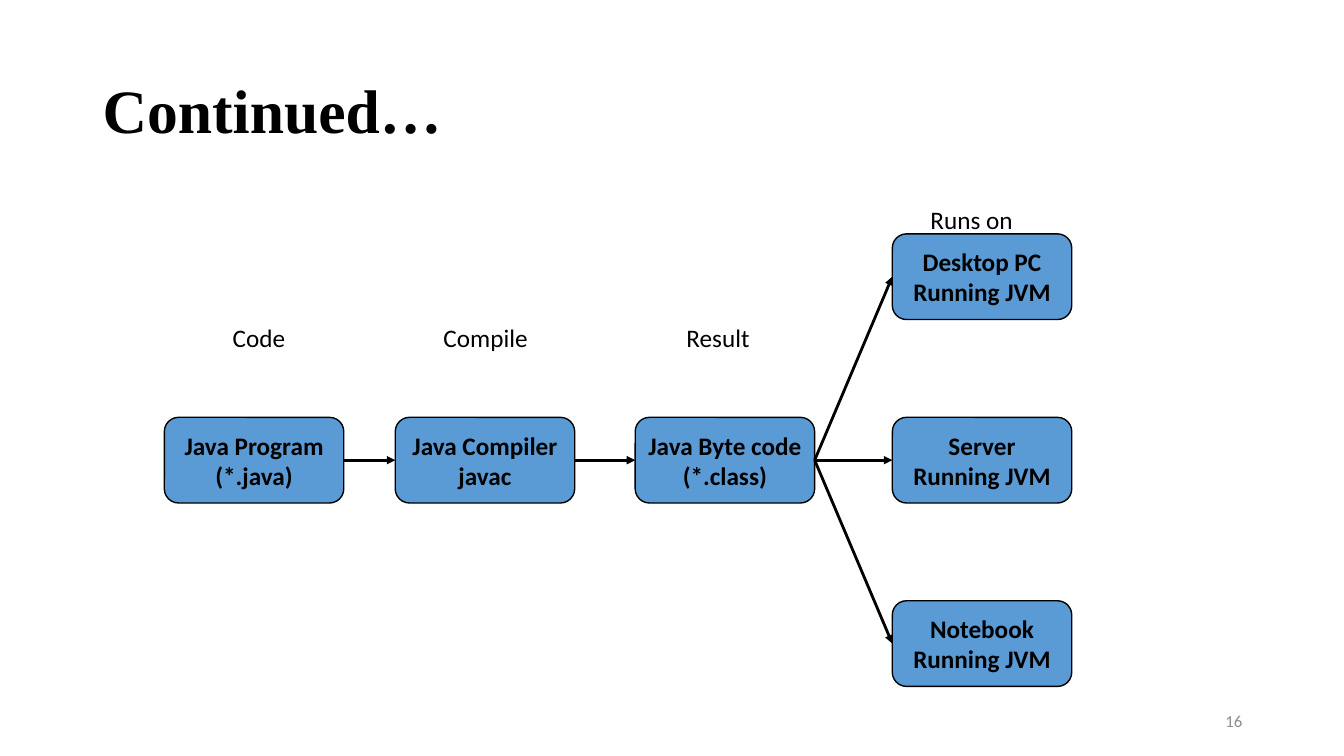
from dataclasses import dataclass

from lxml import etree
from pptx import Presentation
from pptx import util as u
from pptx.dml.color import RGBColor
from pptx.enum import shapes, text
from pptx.oxml import ns
from pptx.shapes.autoshape import Shape
from pptx.slide import Slide
from pptx.text.text import TextFrame

BLACK = RGBColor(0x00, 0x00, 0x00)
BLUE = RGBColor(0x5B, 0x9B, 0xD5)
GREY = RGBColor(0x8C, 0x8C, 0x8C)

BOX_WIDTH, BOX_HEIGHT = 1.78, 0.85
MIDDLE_ROW, ROW_STEP = 4.14, 1.82
RIGHT, LEFT = 3, 1

BODY = {"name": "Calibri", "size": u.Pt(18), "bold": False}
BOX_FONT = BODY | {"bold": True}
TITLE_FONT = {"name": "Times New Roman", "size": u.Pt(44), "bold": True}
NUMBER_FONT = BODY | {"size": u.Pt(12)}


@dataclass(frozen=True)
class Box:
    lines: tuple[str, str]
    left: float
    row: int = 0


@dataclass(frozen=True)
class Label:
    wording: str
    left: float
    top: float
    width: float
    height: float
    font: dict
    color: RGBColor = BLACK
    align: text.PP_ALIGN = text.PP_ALIGN.LEFT
    anchor: text.MSO_ANCHOR = text.MSO_ANCHOR.TOP
    spacing: float = 1.0


STAGES = (
    Box(("Java Program", "(*.java)"), 1.63),
    Box(("Java Compiler", "javac"), 3.92),
    Box(("Java Byte code", "(*.class)"), 6.3),
)
TARGETS = tuple(
    Box((machine, "Running JVM"), 8.85, row)
    for row, machine in enumerate(("Desktop PC", "Server", "Notebook"), -1)
)
LABELS = (
    Label("Continued…", 0.92, 0.4, 11.5, 1.45, TITLE_FONT,
          anchor=text.MSO_ANCHOR.MIDDLE, spacing=0.9),
    Label("Code", 2.21, 3.15, 0.96, 0.5, BODY),
    Label("Compile", 4.3, 3.15, 1.38, 0.5, BODY),
    Label("Result", 6.71, 3.15, 1.18, 0.5, BODY),
    Label("Runs on", 9.13, 1.98, 1.37, 0.5, BODY),
    Label("16", 9.42, 6.95, 3, 0.4, NUMBER_FONT, GREY,
          text.PP_ALIGN.RIGHT, text.MSO_ANCHOR.MIDDLE),
)


def write(tf: TextFrame, lines: tuple[str, ...], font: dict, color: RGBColor,
          align: text.PP_ALIGN, spacing: float = 1.0) -> None:
    for i, line in enumerate(lines):
        p = tf.paragraphs[0] if i == 0 else tf.add_paragraph()
        p.alignment = align
        p.line_spacing = spacing
        r = p.add_run()
        r.text = line
        for name, value in font.items():
            setattr(r.font, name, value)
        r.font.color.rgb = color


def add_box(s: Slide, box: Box) -> Shape:
    top = MIDDLE_ROW + box.row * ROW_STEP
    sp = s.shapes.add_shape(
        shapes.MSO_SHAPE.ROUNDED_RECTANGLE,
        *map(u.Inches, (box.left, top, BOX_WIDTH, BOX_HEIGHT)))
    sp.shadow.inherit = False
    sp.fill.solid()
    sp.fill.fore_color.rgb = BLUE
    sp.line.color.rgb = BLACK
    sp.line.width = u.Pt(1)
    tf = sp.text_frame
    tf.word_wrap = False
    tf.vertical_anchor = text.MSO_ANCHOR.MIDDLE
    write(tf, box.lines, BOX_FONT, BLACK, text.PP_ALIGN.CENTER)
    return sp


def add_arrow(s: Slide, start: Shape, end: Shape) -> None:
    line = s.shapes.add_connector(shapes.MSO_CONNECTOR.STRAIGHT, 0, 0, 0, 0)
    line.begin_connect(start, RIGHT)
    line.end_connect(end, LEFT)
    line.line.color.rgb = BLACK
    line.line.width = u.Pt(2)
    etree.SubElement(line.line._get_or_add_ln(), ns.qn("a:tailEnd"), type="triangle")
    etree.SubElement(line._element.spPr, ns.qn("a:effectLst"))


def add_label(s: Slide, label: Label) -> None:
    sp = s.shapes.add_textbox(
        *map(u.Inches, (label.left, label.top, label.width, label.height)))
    tf = sp.text_frame
    tf.word_wrap = True
    tf.vertical_anchor = label.anchor
    write(tf, (label.wording,), label.font, label.color, label.align, label.spacing)


def main() -> None:
    prs = Presentation()
    prs.slide_width = u.Inches(13.33)
    prs.slide_height = u.Inches(7.5)
    s = prs.slides.add_slide(prs.slide_layouts[6])
    stages = [add_box(s, box) for box in STAGES]
    targets = [add_box(s, box) for box in TARGETS]
    for start, end in zip(stages, stages[1:]):
        add_arrow(s, start, end)
    for target in targets:
        add_arrow(s, stages[-1], target)
    for label in LABELS:
        add_label(s, label)
    prs.save("out.pptx")


if __name__ == "__main__":
    main()
